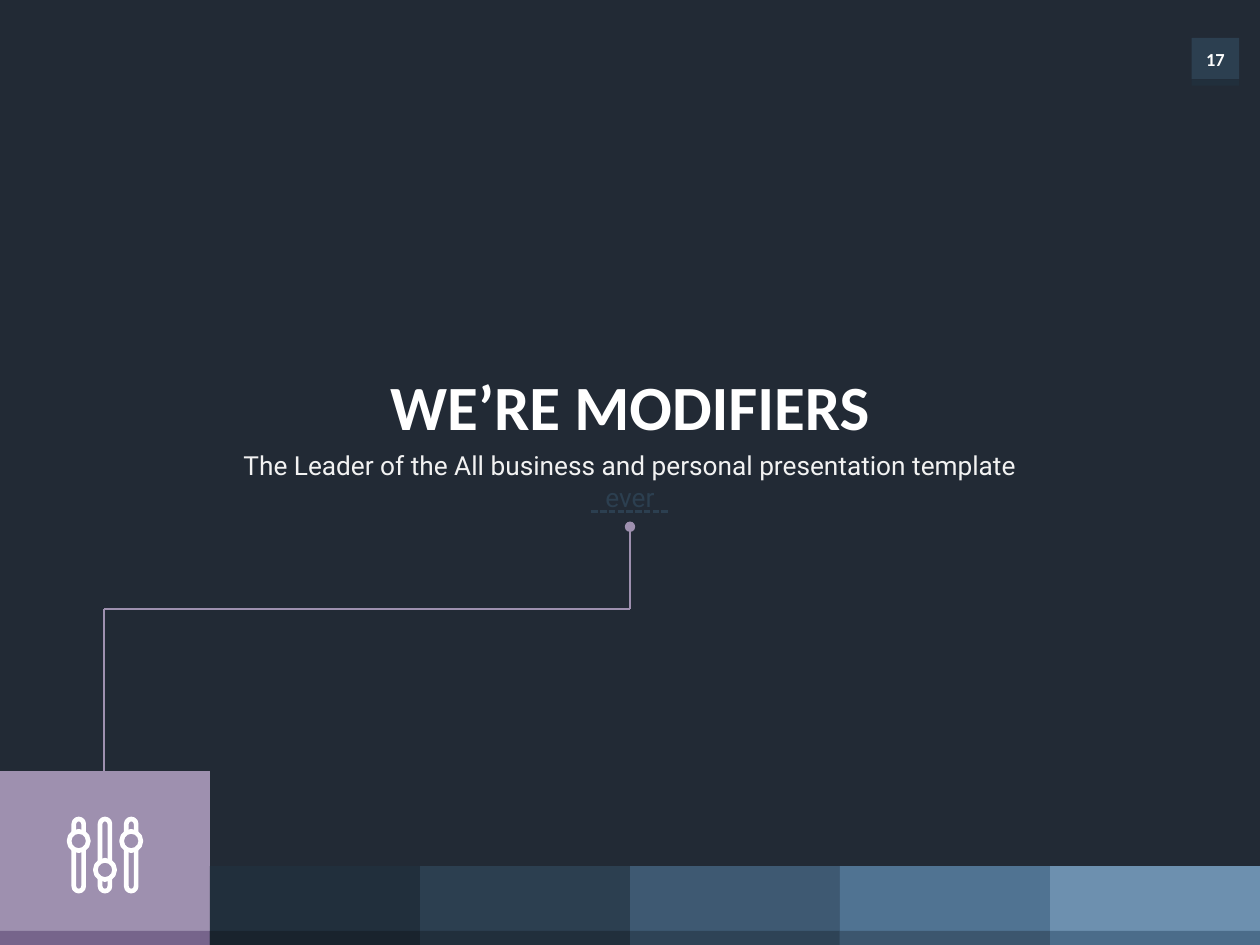
from lxml import etree
from pptx import Presentation
from pptx.dml.color import RGBColor
from pptx.enum.dml import MSO_LINE
from pptx.enum.shapes import MSO_CONNECTOR, MSO_SHAPE
from pptx.enum.text import MSO_ANCHOR, PP_ALIGN
from pptx.oxml.ns import qn
from pptx.util import Pt

RECTANGLE = MSO_SHAPE.RECTANGLE
ROUNDED = MSO_SHAPE.ROUNDED_RECTANGLE
OVAL = MSO_SHAPE.OVAL
STRAIGHT = MSO_CONNECTOR.STRAIGHT
DASH = MSO_LINE.SQUARE_DOT
CENTER = PP_ALIGN.CENTER
TOP = MSO_ANCHOR.TOP
WHITE, MAUVE, NAVY = "FFFFFF", "9E90AF", "2C3F50"
color = RGBColor.from_string

presentation = Presentation()
presentation.slide_width = Pt(720)
presentation.slide_height = Pt(540)
slide = presentation.slides.add_slide(presentation.slide_layouts[5])
slide.background.fill.solid()
slide.background.fill.fore_color.rgb = color("222A35")


def add_block(kind, left, top, width, height, fill, outline=None):
    shape = slide.shapes.add_shape(kind, Pt(left), Pt(top), Pt(width), Pt(height))
    shape.shadow.inherit = False
    shape.fill.solid()
    shape.fill.fore_color.rgb = color(fill)
    if outline:
        shape.line.color.rgb = color(outline)
        shape.line.width = Pt(2.7)
    else:
        shape.line.fill.background()
    return shape


def write(shape, text, font_name, size, fill, bold=False, wrap=False):
    frame = shape.text_frame
    frame.word_wrap = wrap
    frame.vertical_anchor = TOP
    paragraph = frame.paragraphs[0]
    paragraph.text = text
    paragraph.alignment = CENTER
    paragraph.font.name = font_name
    paragraph.font.size = Pt(size)
    paragraph.font.bold = bold
    paragraph.font.color.rgb = color(fill)
    return paragraph


add_block(RECTANGLE, 680.9, 21.6, 27.2, 23.7, NAVY)
add_block(RECTANGLE, 680.9, 45.3, 27.2, 3.6, "212F3C")
page_number = slide.shapes.add_textbox(Pt(680.9), Pt(23.8), Pt(27.2), Pt(20.2))
write(page_number, "17", "Calibri", 10.5, WHITE, bold=True)

footer = [
    (440.6, MAUVE, "76648B"),
    (495, "212F3C", "19232D"),
    (495, NAVY, "212F3C"),
    (495, "3E5972", "2E4356"),
    (495, "507392", "3C566E"),
    (495, "6D90AF", "4B6C8A"),
]
column = 720 / len(footer)
for index, (top, fill, shade) in enumerate(footer):
    add_block(RECTANGLE, index * column, top, column, 540 - top, fill)
    add_block(RECTANGLE, index * column, 532, column, 8, shade)

for center, knob_top in [(45, 475.1), (60, 491.6), (75, 475.1)]:
    track = add_block(ROUNDED, center - 2.8, 468, 5.6, 41.2, MAUVE, WHITE)
    track.adjustments[0] = 0.5
    add_block(OVAL, center - 5.5, knob_top, 11, 11, MAUVE, WHITE)

title = slide.shapes.title
title.left, title.top, title.width, title.height = Pt(214.5), Pt(206.6), Pt(291), Pt(51)
write(title, "WE’RE MODIFIERS", "Calibri", 36, WHITE, bold=True)

subtitle = slide.shapes.add_textbox(Pt(125.5), Pt(253.4), Pt(469), Pt(25.4))
paragraph = write(
    subtitle,
    "The Leader of the All business and personal presentation template ",
    "Roboto", 15, "F2F2F2", wrap=True,
)
last_word = paragraph.add_run()
last_word.text = "ever"
last_word.font.color.rgb = color(NAVY)

lines = [
    (59.6, 348.2, 360, 348.2, MAUVE),
    (59.6, 348.2, 59.6, 440.6, MAUVE),
    (338, 292.3, 382, 292.3, NAVY),
    (360, 301, 360, 348.2, MAUVE),
]
for start_x, start_y, end_x, end_y, fill in lines:
    connector = slide.shapes.add_connector(
        STRAIGHT, Pt(start_x), Pt(start_y), Pt(end_x), Pt(end_y)
    )
    connector.line.color.rgb = color(fill)
    connector.line.width = Pt(1.25)
    if fill == NAVY:
        connector.line.dash_style = DASH
    etree.SubElement(connector._element.spPr, qn("a:effectLst"))
etree.SubElement(connector.line._get_or_add_ln(), qn("a:headEnd"), type="oval")

presentation.save("out.pptx")
